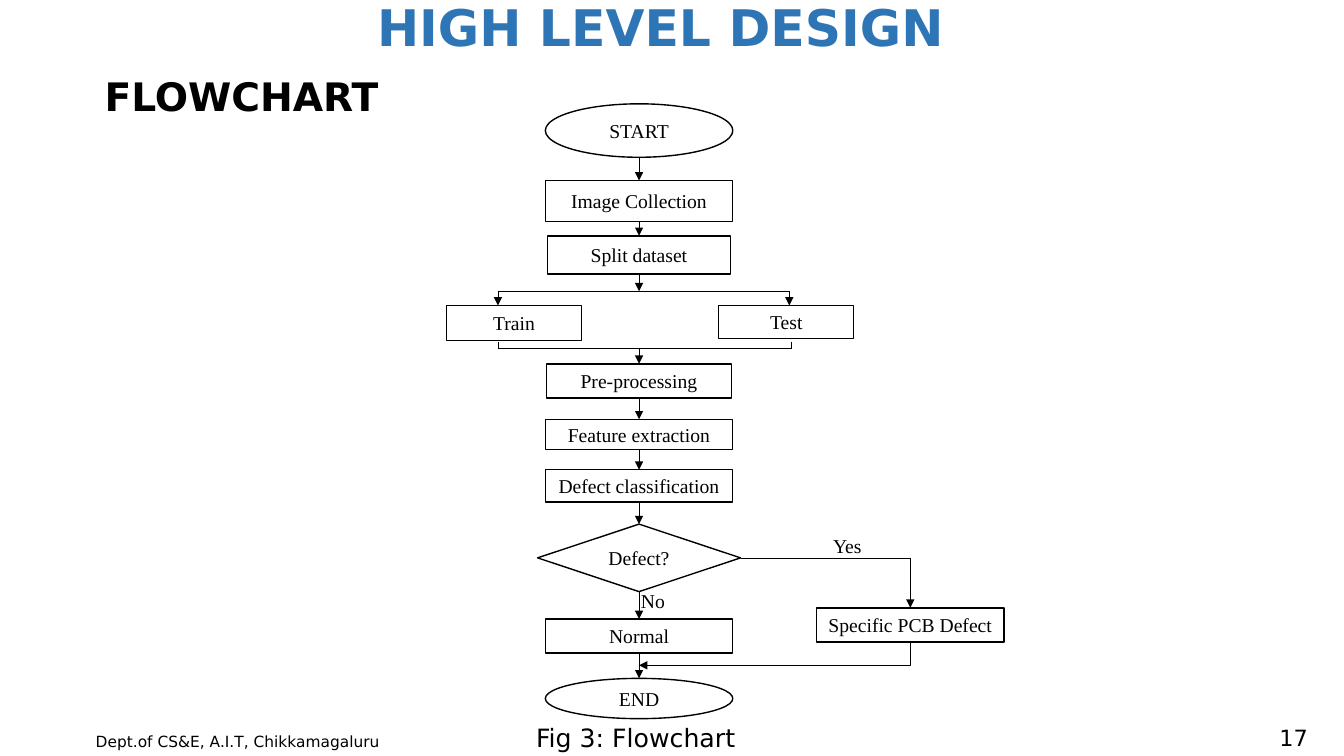
from itertools import pairwise

from lxml.etree import SubElement
from pptx import Presentation
from pptx.dml.color import RGBColor
from pptx.enum.shapes import MSO_CONNECTOR as Connector, MSO_SHAPE as Shape
from pptx.enum.text import MSO_ANCHOR as Anchor, PP_ALIGN as Align
from pptx.oxml.ns import qn
from pptx.util import Inches, Pt

WIDTH, HEIGHT = Inches(13.33), Inches(7.5)
COLUMNS = ROWS = 100
COLORS = {"title": "2E75B6", "ink": "000000", "paper": "FFFFFF"}
SANS, SERIF = "DejaVu Sans", "Times New Roman"

SPINE = 47.55
TRAIN, TEST, DEFECT = 38.25, 58.5, 67.73
SPLIT_LEFT, SPLIT_RIGHT, JOIN_RIGHT = 37.05, 58.73, 58.88
SPLIT_ROW, JOIN_ROW, JOIN_TOP = 38.53, 46.13, 45.2
BRANCH_TOP, DEFECT_TOP, RETURN_ROW = 40.4, 80.4, 88
BOX_WIDTH, BRANCH_WIDTH, BOX_HEIGHT = 13.95, 10.05, 4.53

COLLECTION_STEPS = [
    ("START", Shape.OVAL, 13.73, BOX_WIDTH, 7.07),
    ("Image Collection", Shape.RECTANGLE, 23.87, BOX_WIDTH, 5.47),
    ("Split dataset", Shape.RECTANGLE, 31.2, 13.6, 5.07),
]
DETECTION_STEPS = [
    ("Pre-processing", Shape.RECTANGLE, 48.13, 13.8, BOX_HEIGHT),
    ("Feature extraction", Shape.RECTANGLE, 55.47, BOX_WIDTH, 4),
    ("Defect classification", Shape.RECTANGLE, 62.13, BOX_WIDTH, 4.27),
    ("Defect?", Shape.DIAMOND, 69.33, 15.1, 8.93),
    ("Normal", Shape.RECTANGLE, 81.87, BOX_WIDTH, BOX_HEIGHT),
    ("END", Shape.OVAL, 89.73, BOX_WIDTH, 5.33),
]


def across(columns):
    return round(WIDTH * columns / COLUMNS)


def down(rows):
    return round(HEIGHT * rows / ROWS)


def color(name):
    return RGBColor.from_string(COLORS[name])


def write(shape, text, font=SERIF, size=14, ink="ink", bold=False,
          align=Align.LEFT, anchor=Anchor.TOP, wrap=True):
    frame = shape.text_frame
    frame.word_wrap = wrap
    frame.vertical_anchor = anchor
    paragraph = frame.paragraphs[0]
    paragraph.alignment = align
    run = paragraph.add_run()
    run.text = text
    run.font.name = font
    run.font.size = Pt(size)
    run.font.bold = bold
    run.font.color.rgb = color(ink)


def add_label(slide, text, left, top, width, height, **style):
    box = slide.shapes.add_textbox(across(left), down(top), across(width), down(height))
    write(box, text, **style)


def add_step(slide, text, kind, top, width, height, center=SPINE):
    shape = slide.shapes.add_shape(
        kind, across(center - width / 2), down(top), across(width), down(height))
    shape.shadow.inherit = False
    shape.fill.solid()
    shape.fill.fore_color.rgb = color("paper")
    shape.line.color.rgb = color("ink")
    shape.line.width = Pt(1)
    write(shape, text, align=Align.CENTER, anchor=Anchor.MIDDLE)


def style_line(connector, arrow):
    connector.line.color.rgb = color("ink")
    connector.line.width = Pt(0.5)
    if arrow:
        SubElement(connector.line._get_or_add_ln(), qn("a:tailEnd"), type="triangle")
    SubElement(connector._element.spPr, qn("a:effectLst"))


def add_line(slide, start, end, arrow=False):
    connector = slide.shapes.add_connector(
        Connector.STRAIGHT, across(start[0]), down(start[1]), across(end[0]), down(end[1]))
    style_line(connector, arrow)


def add_corner_arrow(slide, start, end):
    """Draw an arrow that runs down and then left, as a quarter-turned elbow."""
    (start_x, end_x), (start_y, end_y) = map(across, (start[0], end[0])), map(down, (start[1], end[1]))
    center_x, center_y = (start_x + end_x) // 2, (start_y + end_y) // 2
    half_run, half_drop = (start_x - end_x) // 2, (end_y - start_y) // 2
    connector = slide.shapes.add_connector(
        Connector.ELBOW, center_x - half_drop, center_y - half_run,
        center_x + half_drop, center_y + half_run)
    properties = connector._element.spPr
    properties.find(qn("a:xfrm")).set("rot", "5400000")
    properties.find(qn("a:prstGeom")).set("prst", "bentConnector2")
    style_line(connector, arrow=True)


def add_spine(slide, steps):
    for step in steps:
        add_step(slide, *step)
    for (_, _, top, _, height), (_, _, next_top, _, _) in pairwise(steps):
        add_line(slide, (SPINE, top + height), (SPINE, next_top), arrow=True)


def add_split(slide):
    add_step(slide, "Train", Shape.RECTANGLE, BRANCH_TOP, BRANCH_WIDTH, 4.67, TRAIN)
    add_step(slide, "Test", Shape.RECTANGLE, BRANCH_TOP, BRANCH_WIDTH, 4.4, TEST)
    add_line(slide, (SPINE, 36.27), (SPINE, SPLIT_ROW), arrow=True)
    add_line(slide, (SPLIT_LEFT, SPLIT_ROW), (SPLIT_RIGHT, SPLIT_ROW))
    for column in (SPLIT_LEFT, SPLIT_RIGHT):
        add_line(slide, (column, SPLIT_ROW), (column, BRANCH_TOP), arrow=True)
    for column in (SPLIT_LEFT, JOIN_RIGHT):
        add_line(slide, (column, JOIN_TOP), (column, JOIN_ROW))
    add_line(slide, (SPLIT_LEFT, JOIN_ROW), (JOIN_RIGHT, JOIN_ROW))
    add_line(slide, (SPINE, JOIN_ROW), (SPINE, 48.13), arrow=True)


def add_decision(slide):
    decision_row = 73.8
    add_step(slide, "Specific PCB Defect", Shape.RECTANGLE,
             DEFECT_TOP, BOX_WIDTH, BOX_HEIGHT, DEFECT)
    add_line(slide, (55.1, decision_row), (DEFECT, decision_row))
    add_line(slide, (DEFECT, decision_row), (DEFECT, DEFECT_TOP), arrow=True)
    add_corner_arrow(slide, (DEFECT, DEFECT_TOP + BOX_HEIGHT), (SPINE, RETURN_ROW))
    add_label(slide, "Yes", 58.13, 70, 9.83, 4.53, align=Align.CENTER)
    add_label(slide, "No", 46.95, 77.2, 5.1, 4.53)


def main():
    presentation = Presentation()
    presentation.slide_width, presentation.slide_height = WIDTH, HEIGHT
    slide = presentation.slides.add_slide(presentation.slide_layouts[6])
    add_label(slide, "HIGH LEVEL DESIGN", 15.15, -1.2, 67.97, 11.07,
              font=SANS, size=36, ink="title", bold=True, align=Align.CENTER)
    add_label(slide, "FLOWCHART", 7.05, 8.93, 50.1, 7.6, font=SANS, size=28, bold=True)
    add_spine(slide, COLLECTION_STEPS)
    add_split(slide)
    add_spine(slide, DETECTION_STEPS)
    add_decision(slide)
    add_label(slide, "Fig 3: Flowchart", 39.15, 94.93, 16.88, 5.33,
              font=SANS, size=18, wrap=False)
    add_label(slide, "Dept.of CS&E, A.I.T, Chikkamagaluru", 6.38, 96.13, 23.56, 3.87,
              font=SANS, size=11)
    add_label(slide, "17", 94.3, 95.47, 3.75, 4.27,
              font=SANS, size=16, align=Align.RIGHT, anchor=Anchor.MIDDLE)
    presentation.save("out.pptx")


if __name__ == "__main__":
    main()
